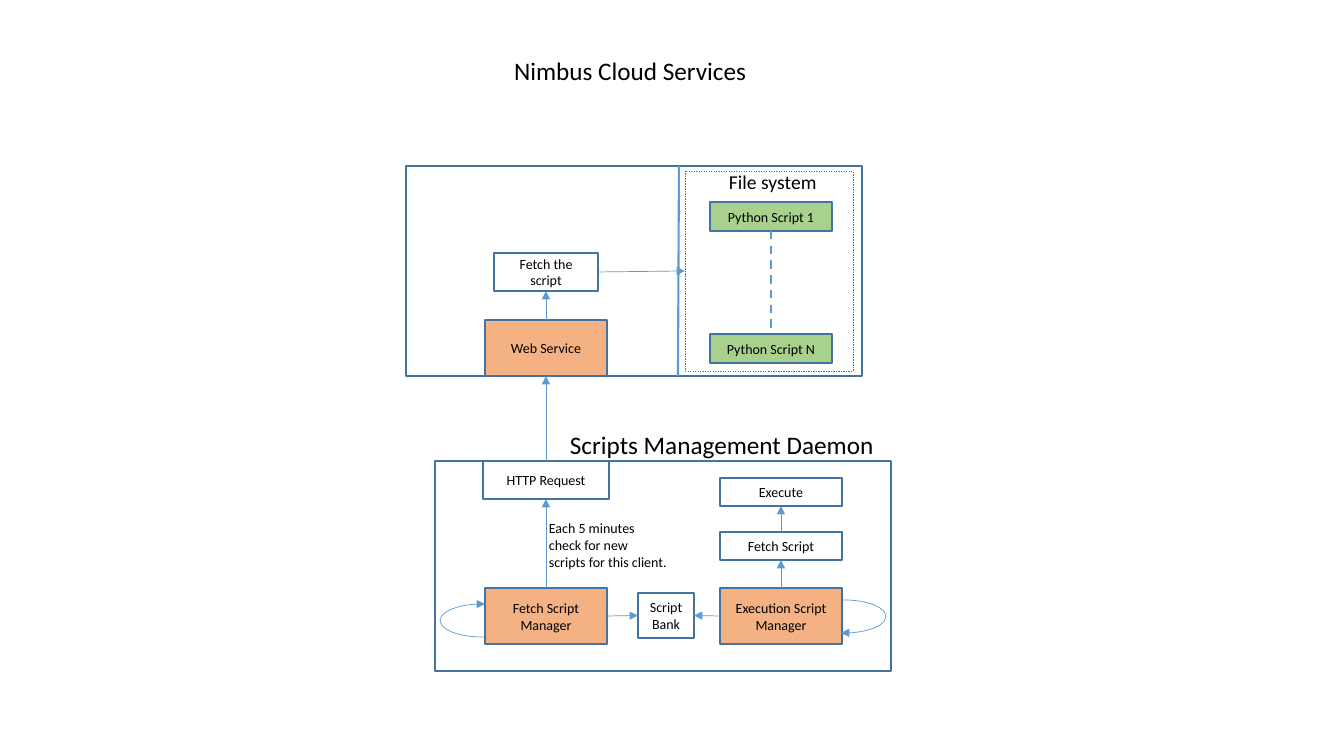
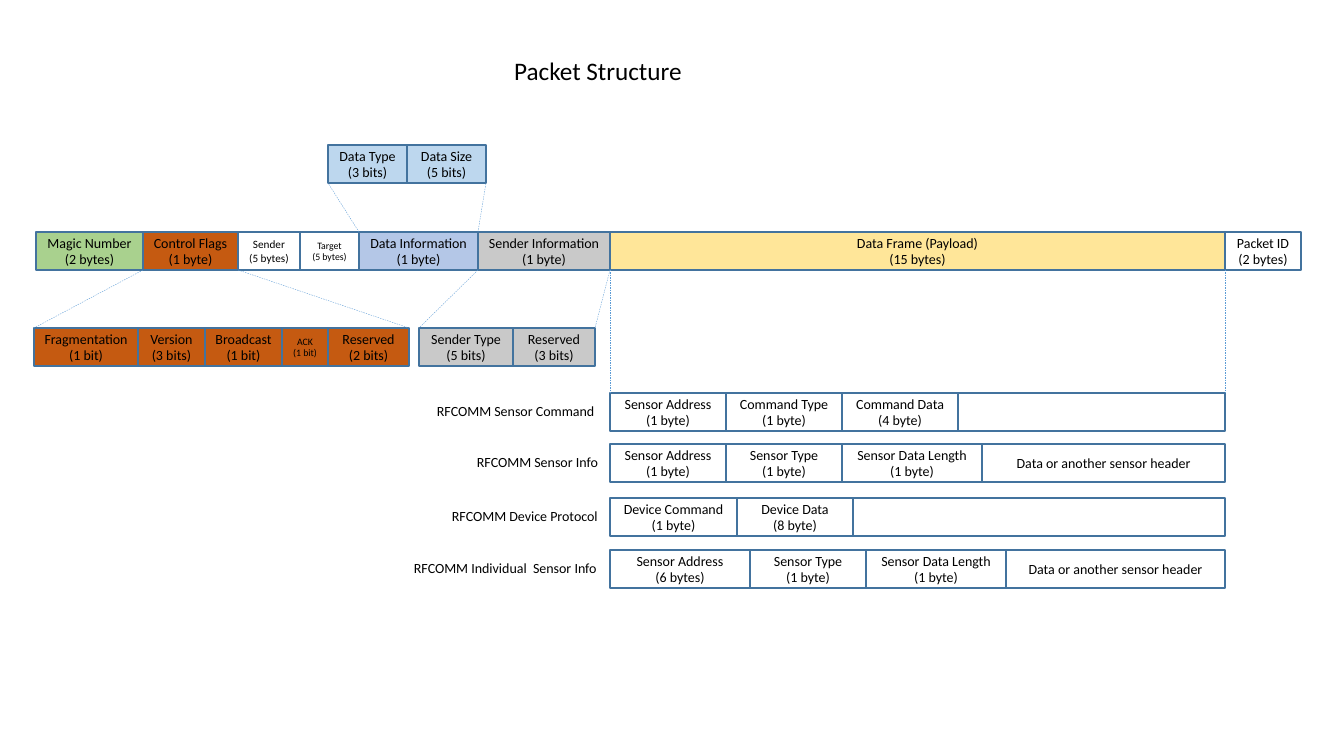
from lxml.etree import SubElement
from pptx import Presentation
from pptx.dml.color import RGBColor
from pptx.enum.dml import MSO_LINE
from pptx.enum.shapes import MSO_CONNECTOR, MSO_SHAPE
from pptx.enum.text import MSO_ANCHOR, PP_ALIGN
from pptx.oxml.ns import qn
from pptx.util import Emu, Pt

FONT = "Calibri"
BLACK = RGBColor(0x00, 0x00, 0x00)
OUTLINE = RGBColor(0x43, 0x73, 0x9E)
BLUE = RGBColor(0x5B, 0x9B, 0xD5)
ORANGE = RGBColor(0xF4, 0xB1, 0x83)
GREEN = RGBColor(0xA9, 0xD1, 0x8E)
RUST = RGBColor(0xC5, 0x5A, 0x11)
PERIWINKLE = RGBColor(0xB4, 0xC7, 0xE7)
SKY = RGBColor(0xBD, 0xD7, 0xEE)
GRAY = RGBColor(0xC9, 0xC9, 0xC9)
YELLOW = RGBColor(0xFF, 0xE6, 0x99)

TOP, LEFT, BOTTOM, RIGHT = range(4)
FIELD_HEIGHT = 38


def px(length):
    """Turn pixels into EMU."""
    return Emu(round(length * 914400 / 100.8))


def write(frame, lines, size, align):
    """Write one paragraph per line into a text frame."""
    for index, line in enumerate(lines):
        para = frame.add_paragraph() if index else frame.paragraphs[0]
        para.alignment = align
        span = para.add_run()
        span.text = line
        span.font.name = FONT
        span.font.size = Pt(size)
        span.font.color.rgb = BLACK


def style_line(shape, color, width, dashed=False, arrow=False):
    """Set the stroke of a shape or connector."""
    shape.line.color.rgb = color
    shape.line.width = Pt(width)
    if dashed:
        shape.line.dash_style = MSO_LINE.DASH
    if arrow:
        SubElement(shape.element.spPr.find(qn("a:ln")), qn("a:tailEnd"), type="triangle")


def add_box(page, place, lines=(), fill=None, size=10, margin=10, width=1, dashed=False):
    """Add an outlined rectangle with centred text."""
    box = page.shapes.add_shape(MSO_SHAPE.RECTANGLE, *map(px, place))
    box.shadow.inherit = False
    if fill is None:
        box.fill.background()
    else:
        box.fill.solid()
        box.fill.fore_color.rgb = fill
    style_line(box, OUTLINE, width, dashed)
    frame = box.text_frame
    frame.margin_left = frame.margin_right = px(margin)
    frame.vertical_anchor = MSO_ANCHOR.MIDDLE
    write(frame, lines, size, PP_ALIGN.CENTER)
    return box


def add_label(page, place, lines, size):
    """Add free-standing left-aligned text."""
    frame = page.shapes.add_textbox(*map(px, place)).text_frame
    frame.word_wrap = False
    write(frame, lines, size, PP_ALIGN.LEFT)


def add_line(page, start, end, width, dashed=False, arrow=False):
    """Draw a straight line between two EMU points."""
    line = page.shapes.add_connector(MSO_CONNECTOR.STRAIGHT, *start, *end)
    style_line(line, BLUE, width, dashed, arrow)
    SubElement(line.element.spPr, qn("a:effectLst"))
    return line


def join(page, source, source_side, target, target_side, width=0.5, dashed=False, arrow=True):
    """Connect the sides of two boxes."""
    line = add_line(page, (0, 0), (0, 0), width, dashed, arrow)
    line.begin_connect(source, source_side)
    line.end_connect(target, target_side)


def add_loop(page, place, rotation=0):
    """Add a curved arrow that returns to its own box."""
    loop = page.shapes.add_shape(MSO_SHAPE.ARC, *map(px, place))
    loop.shadow.inherit = False
    loop.fill.background()
    loop.rotation = rotation
    loop.adjustments[0] = 158.4
    loop.adjustments[1] = 60.141
    style_line(loop, BLUE, 0.5, arrow=True)


def add_page(deck, heading, width):
    """Add a title-only slide and format its title."""
    page = deck.slides.add_slide(deck.slide_layouts[5])
    title = page.shapes.title
    title.left, title.top, title.width, title.height = map(px, (504, 50, width, 40))
    title.text_frame.word_wrap = False
    title.text_frame.vertical_anchor = MSO_ANCHOR.TOP
    write(title.text_frame, [heading], 18, PP_ALIGN.LEFT)
    return page


def draw_cloud(page, left, top, width, height):
    """Draw the server region and return its web service."""
    add_box(page, (left, top, width, height))
    service = add_box(page, (left + 79, top + height - 56, 122, 56), ["Web Service"], ORANGE)
    fetch = add_box(page, (left + 88, top + 87, 104, 38), ["Fetch the script"])
    add_line(page, (px(left + 273), px(top)), (px(left + 272), px(top + height)), 1.5)
    files = add_box(page, (left + 279, top + 5, 168, 200), width=0.25, dashed=True)
    add_label(page, (left + 313, top - 1, 109, 34), ["File system"], 14)
    first, last = [
        add_box(page, (left + 304, top + offset, 122, 29), [f"Python Script {number}"], GREEN)
        for number, offset in (("1", 36), ("N", 168))
    ]
    join(page, first, BOTTOM, last, TOP, 1.5, dashed=True, arrow=False)
    join(page, service, TOP, fetch, BOTTOM)
    join(page, fetch, RIGHT, files, LEFT)
    return service


def draw_daemon(page, left, top, width, height, service):
    """Draw the client region and link it to the web service."""
    add_label(page, (left + 125, top - 37, 328, 40), ["Scripts Management Daemon"], 18)
    add_box(page, (left, top, width, height))
    request = add_box(page, (left + 48, top, 126, 38), ["HTTP Request"])
    fetcher, executor = [
        add_box(page, (left + offset, top + 127, 122, 56), [name], ORANGE)
        for name, offset in (("Fetch Script Manager", 50), ("Execution Script Manager", 285))
    ]
    execute, fetch = [
        add_box(page, (left + 285, top + offset, 122, 28), [name])
        for name, offset in (("Execute", 17), ("Fetch Script", 71))
    ]
    bank = add_box(page, (left + 203, top + 132, 56, 45), ["Script", "Bank"])
    notes = ["Each 5 minutes", "check for new", "scripts for this client."]
    add_label(page, (left + 104, top + 54, 140, 62), notes, 10)
    for source, target in (
        (fetcher, request), (request, service), (executor, fetch), (fetch, execute)
    ):
        join(page, source, TOP, target, BOTTOM)
    join(page, fetcher, RIGHT, bank, LEFT)
    join(page, executor, LEFT, bank, RIGHT)
    add_loop(page, (left + 367, top + 139, 84, 33))
    add_loop(page, (left + 5, top + 143, 84, 33), 180)


def draw_fields(page, left, top, fields):
    """Lay fields (name, length, width, fill, size) side by side."""
    boxes = []
    for name, length, width, fill, size in fields:
        lines = [line for line in (name, length) if line]
        place = (left, top, width, FIELD_HEIGHT)
        boxes.append(add_box(page, place, lines, fill, size, margin=2))
        left += width
    return boxes


def draw_leaders(page, field, parts):
    """Draw dotted lines from a field to the row that details it."""
    first, last = parts[0], parts[-1]
    above = first.top < field.top
    field_edge = field.top if above else field.top + field.height
    part_edge = first.top + first.height if above else first.top
    for field_x, part_x in (
        (field.left, first.left),
        (field.left + field.width, last.left + last.width),
    ):
        add_line(page, (field_x, field_edge), (part_x, part_edge), 0.25, dashed=True)


def draw_payload(page, left, top, width, label, label_width, fields, rest):
    """Draw one labelled payload layout whose last field fills the width."""
    add_label(page, (left - label_width, top + 5, label_width, 27), [label], 10)
    used = sum(field[2] for field in fields)
    row = [(*field, None, 10) for field in fields]
    return draw_fields(page, left, top, row + [(rest, "", width - used, None, 10)])


def build_services(deck):
    """Build the cloud services slide."""
    page = add_page(deck, "Nimbus Cloud Services", 259)
    service = draw_cloud(page, 406, 166, 456, 210)
    draw_daemon(page, 435, 461, 456, 210, service)


def build_packet(deck):
    """Build the packet structure slide."""
    page = add_page(deck, "Packet Structure", 190)
    packet = draw_fields(page, 36, 232, [
        ("Magic Number", "(2 bytes)", 107, GREEN, 10),
        ("Control Flags", "(1 byte)", 95, RUST, 10),
        ("Sender", "(5 bytes)", 62, None, 8),
        ("Target", "(5 bytes)", 59, None, 7),
        ("Data Information", "(1 byte)", 119, PERIWINKLE, 10),
        ("Sender Information", "(1 byte)", 132, GRAY, 10),
        ("Data Frame (Payload)", "(15 bytes)", 615, YELLOW, 10),
        ("Packet ID", "(2 bytes)", 76, None, 10),
    ])
    flags = draw_fields(page, 34, 328, [
        ("Fragmentation", "(1 bit)", 104, RUST, 10),
        ("Version", "(3 bits)", 67, RUST, 10),
        ("Broadcast", "(1 bit)", 77, RUST, 10),
        ("ACK", "(1 bit)", 46, RUST, 7),
        ("Reserved", "(2 bits)", 81, RUST, 10),
    ])
    data = draw_fields(page, 328, 145, [
        ("Data Type", "(3 bits)", 79, SKY, 10),
        ("Data Size", "(5 bits)", 79, SKY, 10),
    ])
    sender = draw_fields(page, 419, 328, [
        ("Sender Type", "(5 bits)", 94, GRAY, 10),
        ("Reserved", "(3 bits)", 82, GRAY, 10),
    ])
    header = "Data or another sensor header"
    sensor_type = ("Sensor Type", "(1 byte)", 116)
    data_length = ("Sensor Data Length", "(1 byte)", 140)
    address = ("Sensor Address", "(1 byte)", 116)
    layouts = [
        (393, "RFCOMM Sensor Command", 183, [
            address, ("Command Type", "(1 byte)", 116), ("Command Data", "(4 byte)", 116)], ""),
        (444, "RFCOMM Sensor Info", 143, [address, sensor_type, data_length], header),
        (498, "RFCOMM Device Protocol", 168, [
            ("Device Command", "(1 byte)", 127), ("Device Data", "(8 byte)", 116)], ""),
        (550, "RFCOMM Individual  Sensor Info", 206, [
            ("Sensor Address", "(6 bytes)", 140), sensor_type, data_length], header),
    ]
    payloads = [draw_payload(page, 610, top, 615, *layout) for top, *layout in layouts]
    for index, parts in ((1, flags), (4, data), (5, sender), (6, payloads[0])):
        draw_leaders(page, packet[index], parts)


deck = Presentation()
deck.slide_width, deck.slide_height = px(1344), px(756)
build_services(deck)
build_packet(deck)
deck.save("out.pptx")
